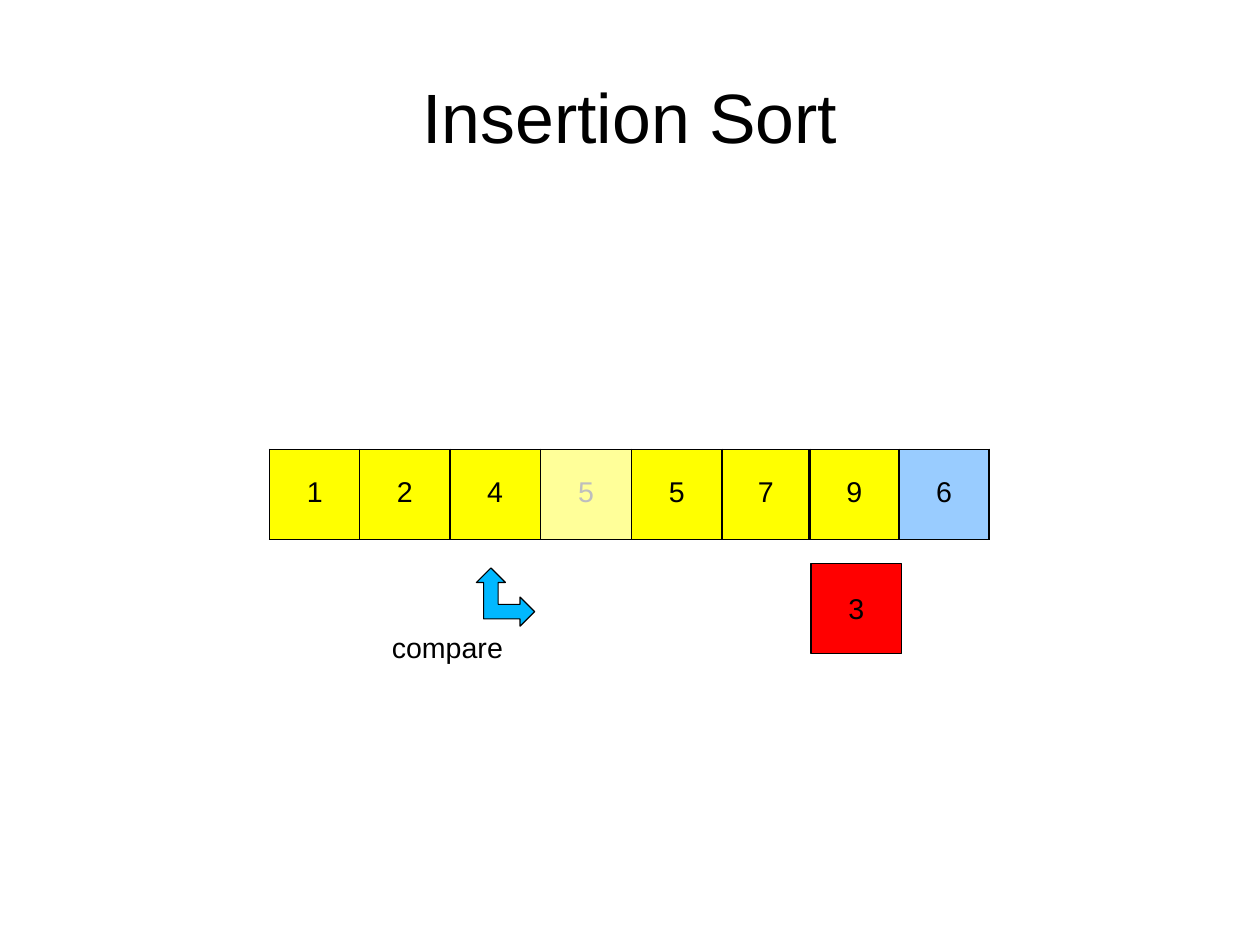
from lxml.etree import SubElement
from pptx import Presentation
from pptx.dml.color import RGBColor
from pptx.enum.shapes import MSO_SHAPE
from pptx.enum.text import MSO_ANCHOR, PP_ALIGN
from pptx.oxml import parse_xml
from pptx.oxml.ns import nsdecls, qn
from pptx.util import Inches, Pt

BLACK = RGBColor(0x00, 0x00, 0x00)
GREY = RGBColor(0xBE, 0xBE, 0xBE)
YELLOW = RGBColor(0xFF, 0xFF, 0x00)
PALE_BLUE = RGBColor(0x99, 0xCC, 0xFF)
RED = RGBColor(0xFF, 0x00, 0x00)
ARROW_BLUE = RGBColor(0x00, 0xB8, 0xFF)

SLIDE_WIDTH, SLIDE_HEIGHT = 11.03, 8.27
CELL = 0.79
ARRAY_LEFT, ARRAY_TOP = 2.36, 3.93
COLUMNS = [CELL, CELL, CELL, 0.8, CELL, 0.77, 0.78, CELL]
VALUES = ["1", "2", "4", "5", "5", "7", "9", "6"]
VACATED, UNSORTED = 3, 7
EDGES = [1, 1, 1, 1, 1, 1, 2.25, 1.5, 1]


def write(frame, words, size=18, color=BLACK, align=PP_ALIGN.CENTER):
    paragraph = frame.paragraphs[0]
    paragraph.alignment = align
    run = paragraph.add_run()
    run.text = words
    run.font.name = "Arial"
    run.font.size = Pt(size)
    run.font.color.rgb = color


def add_label(slide, box, words, size, align, anchor, top_inset=0):
    label = slide.shapes.add_textbox(*map(Inches, box)).text_frame
    label.word_wrap = True
    label.margin_left = label.margin_right = label.margin_bottom = 0
    label.margin_top = Inches(top_inset)
    label.vertical_anchor = anchor
    write(label, words, size, align=align)


def border_cell(cell, left, right, top=0.75, bottom=0.75):
    properties = cell._tc.get_or_add_tcPr()
    sides = zip(("lnL", "lnR", "lnT", "lnB"), (left, right, top, bottom))
    for position, (side, width) in enumerate(sides):
        properties.insert(position, parse_xml(
            f'<a:{side} {nsdecls("a")} w="{Pt(width)}"><a:solidFill>'
            f'<a:srgbClr val="{BLACK}"/></a:solidFill></a:{side}>'))


def add_array(slide, left, top):
    array = slide.shapes.add_table(
        1, len(VALUES), Inches(left), Inches(top),
        Inches(sum(COLUMNS)), Inches(CELL)).table
    array.first_row = array.horz_banding = False
    array.rows[0].height = Inches(CELL)
    for index, (value, width) in enumerate(zip(VALUES, COLUMNS)):
        array.columns[index].width = Inches(width)
        cell = array.cell(0, index)
        cell.margin_left = cell.margin_right = cell.margin_bottom = 0
        cell.margin_top = Inches(0.24)
        write(cell.text_frame, value, color=GREY if index == VACATED else BLACK)
        cell.fill.solid()
        cell.fill.fore_color.rgb = PALE_BLUE if index == UNSORTED else YELLOW
        if index == VACATED:
            tint = cell._tc.tcPr.find(".//" + qn("a:srgbClr"))
            SubElement(tint, qn("a:alpha")).set("val", "40000")
        border_cell(cell, EDGES[index], EDGES[index + 1])


def add_held_value(slide, left, top):
    held = slide.shapes.add_shape(
        MSO_SHAPE.RECTANGLE, *map(Inches, (left, top, CELL, CELL)))
    held.shadow.inherit = False
    held.fill.solid()
    held.fill.fore_color.rgb = RED
    held.line.color.rgb = BLACK
    held.line.width = Pt(0.78)
    held.text_frame.vertical_anchor = MSO_ANCHOR.MIDDLE
    write(held.text_frame, "3")


def add_compare_arrow(slide, left, top, size):
    unit = Inches(size) / 8
    outline = [(2, 0), (4, 2), (3, 2), (3, 5), (6, 5), (6, 4),
               (8, 6), (6, 8), (6, 7), (1, 7), (1, 2), (0, 2)]
    builder = slide.shapes.build_freeform(*outline[0], scale=unit)
    builder.add_line_segments(outline[1:], close=True)
    arrow = builder.convert_to_shape(Inches(left), Inches(top))
    arrow.shadow.inherit = False
    arrow.fill.solid()
    arrow.fill.fore_color.rgb = ARROW_BLUE
    arrow.line.color.rgb = BLACK
    arrow.line.width = Pt(0.72)


def add_sort_step(slide, left, top):
    add_array(slide, left, top)
    add_held_value(slide, left + sum(COLUMNS[:6]) + 0.01, top + 1)
    add_compare_arrow(slide, left + 1.81, top + 1.04, 0.51)
    add_label(slide, (left + 1.07, top + 1.55, 1.05, 0.33), "compare", 18,
              PP_ALIGN.LEFT, MSO_ANCHOR.TOP, 0.03)


def main():
    presentation = Presentation()
    presentation.slide_width = Inches(SLIDE_WIDTH)
    presentation.slide_height = Inches(SLIDE_HEIGHT)
    slide = presentation.slides.add_slide(presentation.slide_layouts[6])
    title_width = SLIDE_WIDTH / 3
    add_label(slide, (title_width, 0.62, title_width, 0.76), "Insertion Sort",
              44, PP_ALIGN.CENTER, MSO_ANCHOR.BOTTOM)
    add_sort_step(slide, ARRAY_LEFT, ARRAY_TOP)
    presentation.save("out.pptx")


if __name__ == "__main__":
    main()
